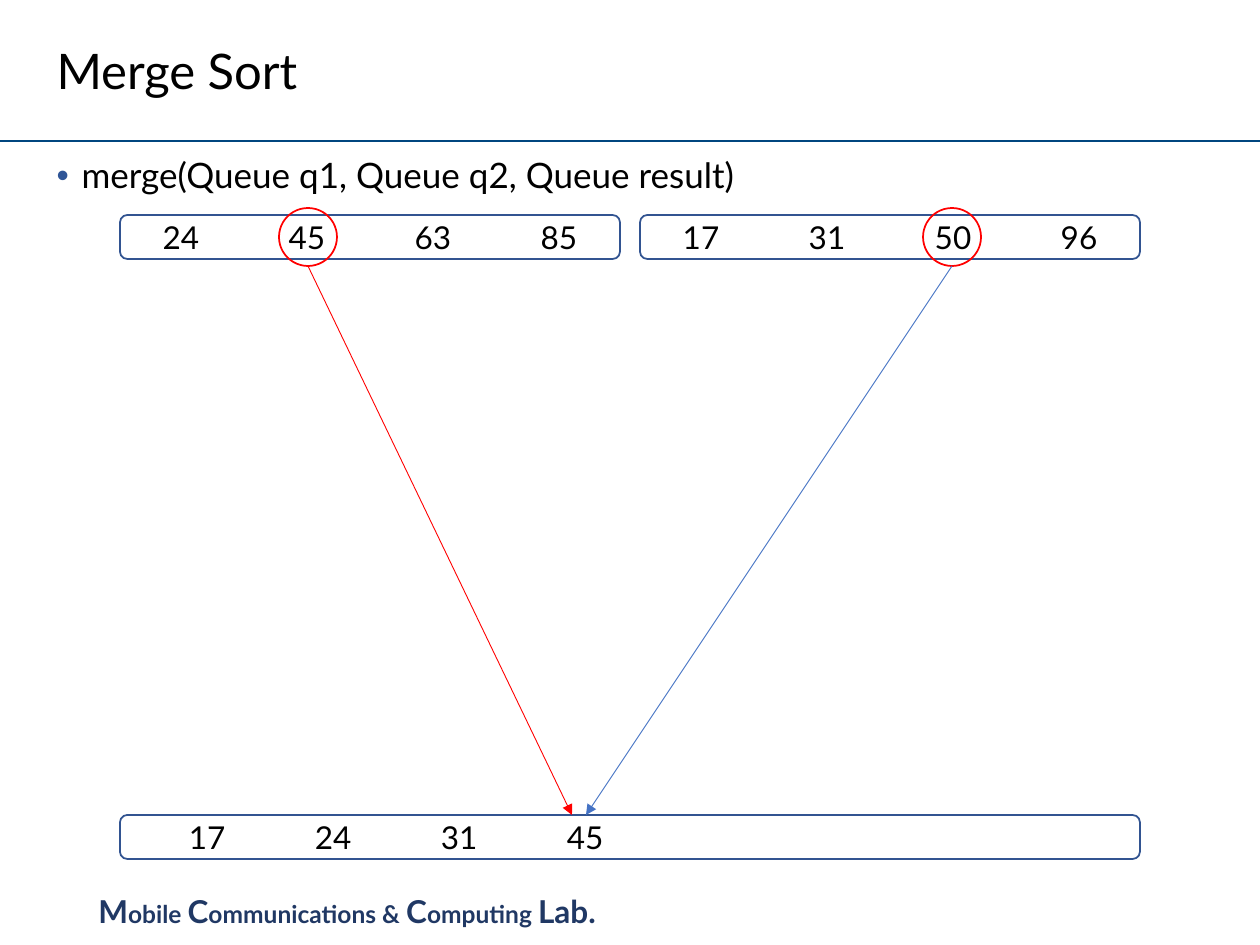
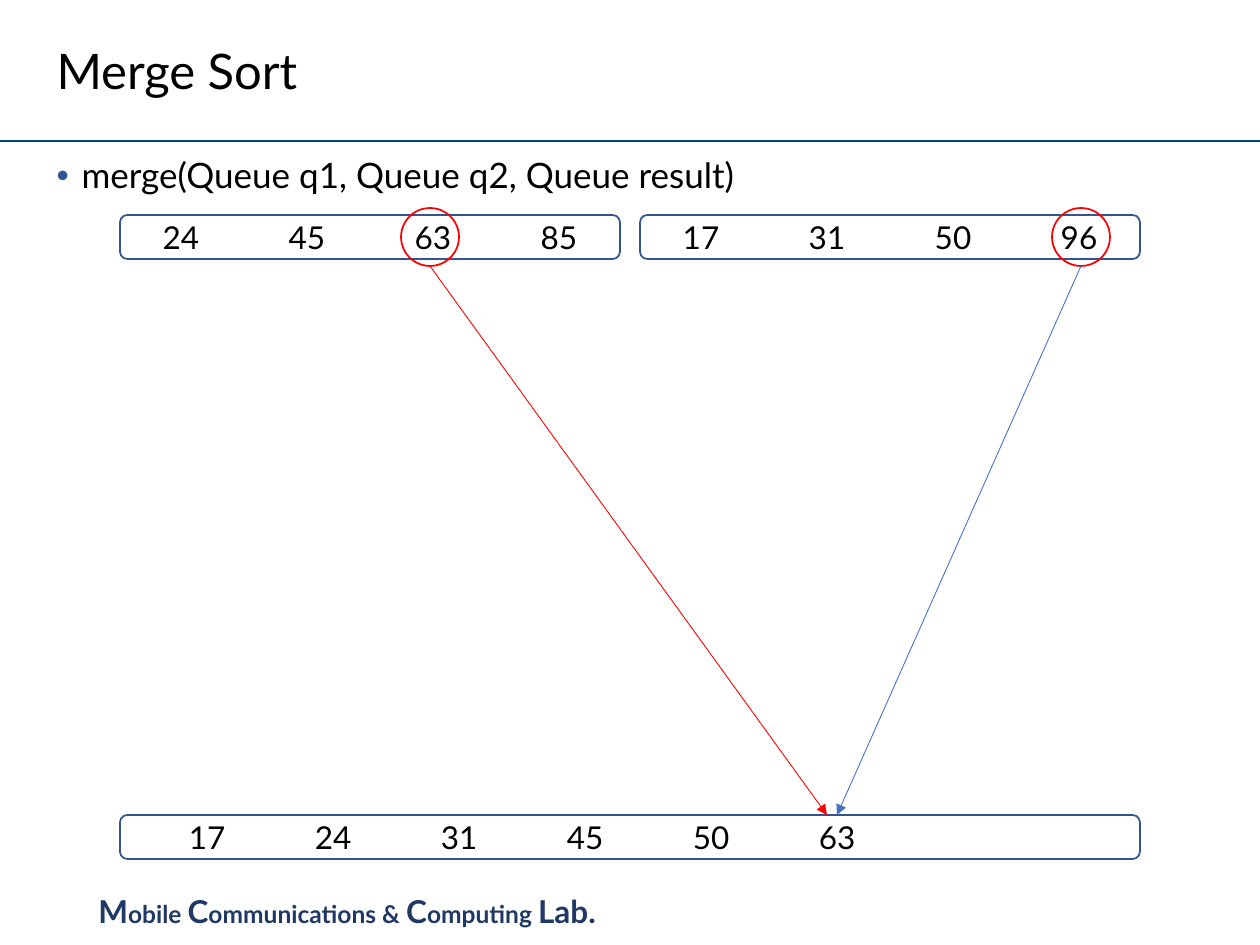
from lxml import etree
from pptx import Presentation
from pptx.dml.color import RGBColor
from pptx.enum.shapes import MSO_CONNECTOR, MSO_SHAPE
from pptx.enum.text import MSO_ANCHOR, MSO_AUTO_SIZE, PP_ALIGN
from pptx.oxml.ns import qn
from pptx.util import Pt

STRAIGHT = MSO_CONNECTOR.STRAIGHT
ROUNDED, OVAL = MSO_SHAPE.ROUNDED_RECTANGLE, MSO_SHAPE.OVAL
MIDDLE, TOP = MSO_ANCHOR.MIDDLE, MSO_ANCHOR.TOP
LEFT, CENTER = PP_ALIGN.LEFT, PP_ALIGN.CENTER
NO_AUTOFIT = MSO_AUTO_SIZE.NONE

# Content
TITLE = "Merge Sort"
SIGNATURE = "merge(Queue q1, Queue q2, Queue result)"
FOOTER = [("M", 18), ("obile ", 14), ("C", 18), ("ommunications & ", 14),
          ("C", 18), ("omputing ", 14), ("Lab.", 18)]
QUEUE_1 = [24, 45, 63, 85]
QUEUE_2 = [17, 31, 50, 96]
RESULT_SLOTS = 8
# Each step: merged values, then (x of the compared value, x of the arrow tip)
STEPS = [
    {"result": [17, 24, 31, 45], "first": (308, 572), "second": (952, 586)},
    {"result": [17, 24, 31, 45, 50, 63], "first": (430, 827), "second": (1081, 837)},
]

# Shared look
FONT = "Lato"
COLORS = {"text": "000000", "footer": "203864", "rule": "00467F", "bullet": "2F5597",
          "queue": "325491", "first": "FF0000", "second": "4472C4", "circle": "FF0000"}
EMU_PER_PIXEL = 914400 / 126
SLIDE_WIDTH, SLIDE_HEIGHT = 1260, 945
RULE_Y = 141
MARGIN, TEXT_WIDTH = 44, 1173
QUEUE_LEFT, QUEUE_WIDTH, QUEUE_HEIGHT, QUEUE_GAP = 120, 500, 44, 20
SOURCE_Y, RESULT_Y = 215, 815
CIRCLE = 58
SLOT = 126
BULLET_INDENT = 25


def px(value):
    return round(value * EMU_PER_PIXEL)


def box(*lengths):
    return [px(length) for length in lengths]


def color(name):
    return RGBColor.from_string(COLORS[name])


def add_run(paragraph, text, size, color_name="text", bold=False):
    run = paragraph.add_run()
    run.text = text
    run.font.name, run.font.size, run.font.bold = FONT, Pt(size), bold
    run.font.color.rgb = color(color_name)


def add_line(slide, start, end, color_name, width, arrow=False):
    line = slide.shapes.add_connector(STRAIGHT, *box(*start, *end))
    line.line.color.rgb = color(color_name)
    line.line.width = Pt(width)
    if arrow:
        etree.SubElement(line.line._get_or_add_ln(), qn("a:tailEnd"), type="triangle")
    etree.SubElement(line._element.spPr, qn("a:effectLst"))


def add_outline(slide, kind, left, top, width, height, color_name):
    shape = slide.shapes.add_shape(kind, *box(left, top, width, height))
    shape.shadow.inherit = False
    shape.fill.background()
    shape.line.color.rgb = color(color_name)
    shape.line.width = Pt(1)
    return shape


def add_queue(slide, left, top, width, values, slots):
    """A queue shows its values one tab stop apart; free slots stay empty."""
    shape = add_outline(slide, ROUNDED, left, top, width, QUEUE_HEIGHT, "queue")
    shape.text_frame.vertical_anchor = MIDDLE
    paragraph = shape.text_frame.paragraphs[0]
    paragraph.alignment = CENTER
    tabs = etree.SubElement(paragraph._p.get_or_add_pPr(), qn("a:tabLst"))
    for slot in range(1, slots):
        etree.SubElement(tabs, qn("a:tab"), pos=str(px(slot * SLOT)), algn="l")
    cells = [str(value) for value in values] + [""] * (slots - len(values))
    add_run(paragraph, "\t".join(cells), 18)


def fill_placeholder(placeholder, position, text, size, anchor):
    placeholder.left, placeholder.top, placeholder.width, placeholder.height = box(*position)
    frame = placeholder.text_frame
    frame.auto_size, frame.word_wrap, frame.vertical_anchor = NO_AUTOFIT, True, anchor
    paragraph = frame.paragraphs[0]
    paragraph.alignment, paragraph.line_spacing = LEFT, 0.9
    add_run(paragraph, text, size)
    return paragraph


def add_frame(slide):
    """Footer, rule, title and bulleted signature found on every slide."""
    footer = slide.shapes.add_textbox(*box(86, 886, 571, 50)).text_frame
    footer.word_wrap = True
    for text, size in FOOTER:
        add_run(footer.paragraphs[0], text, size, "footer", bold=True)
    add_line(slide, (0, RULE_Y), (SLIDE_WIDTH, RULE_Y), "rule", 1.5)

    fill_placeholder(slide.shapes.title, (MARGIN, 18, TEXT_WIDTH, 111), TITLE, 28, MIDDLE)
    item = fill_placeholder(slide.placeholders[1], (MARGIN, 152, TEXT_WIDTH, 685),
                            SIGNATURE, 20, TOP)
    item.space_before = Pt(7.5)
    properties = item._p.get_or_add_pPr()
    properties.set("marL", str(px(BULLET_INDENT)))
    properties.set("indent", str(-px(BULLET_INDENT)))
    bullet_color = etree.SubElement(properties, qn("a:buClr"))
    etree.SubElement(bullet_color, qn("a:srgbClr"), val=COLORS["bullet"])
    etree.SubElement(properties, qn("a:buFont"), typeface="Arial")
    etree.SubElement(properties, qn("a:buChar"), char="•")


presentation = Presentation()
presentation.slide_width, presentation.slide_height = box(SLIDE_WIDTH, SLIDE_HEIGHT)

for step in STEPS:
    slide = presentation.slides.add_slide(presentation.slide_layouts[1])
    add_frame(slide)

    # Two source queues above the merged one
    for index, values in enumerate((QUEUE_1, QUEUE_2)):
        left = QUEUE_LEFT + index * (QUEUE_WIDTH + QUEUE_GAP)
        add_queue(slide, left, SOURCE_Y, QUEUE_WIDTH, values, len(values))
    add_queue(slide, QUEUE_LEFT, RESULT_Y, 2 * QUEUE_WIDTH + QUEUE_GAP,
              step["result"], RESULT_SLOTS)

    # Compared values, circled and led to the next result slot
    circle_top = SOURCE_Y + (QUEUE_HEIGHT - CIRCLE) / 2
    for name in ("second", "first"):
        center, tip = step[name]
        add_outline(slide, OVAL, center - CIRCLE / 2, circle_top, CIRCLE, CIRCLE, "circle")
        add_line(slide, (center, circle_top + CIRCLE), (tip, RESULT_Y), name, 0.5, arrow=True)

presentation.save("out.pptx")
